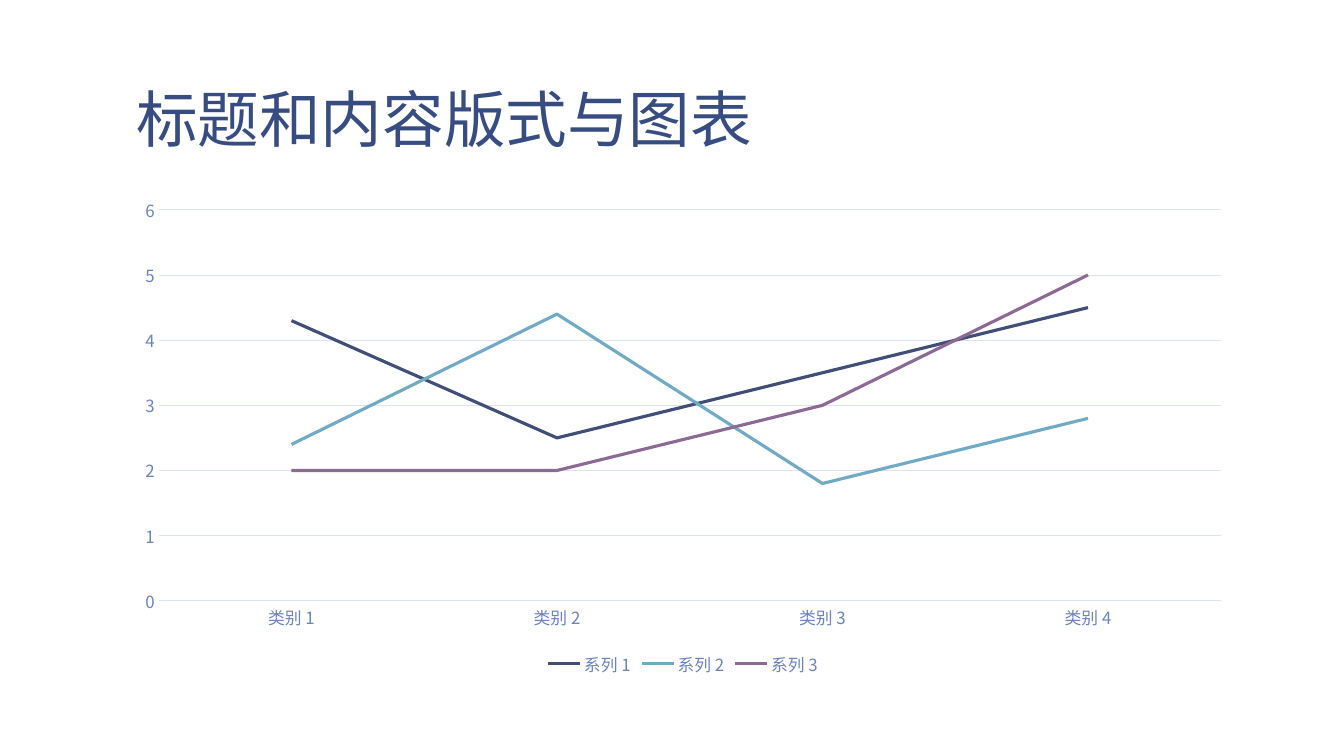
from pptx import Presentation
from pptx import util as u
from pptx.chart import data
from pptx.dml import color
from pptx.enum import chart as charts, text
from pptx.oxml import ns

FONT = "Noto Sans CJK SC"
WIDTH, HEIGHT = 13.33, 7.5
LEFT, SPAN = 1.22, 11.11
TITLE_BOX = (LEFT, 0.08, SPAN, 1.53)
CHART_BOX = (LEFT, 1.86, SPAN, 4.89)
NAVY, BLUE, PALE = "374C81", "6A83C0", "DDE2F0"

CATEGORIES = [f"类别 {n}" for n in range(1, 5)]
SERIES = [
    ("系列 1", "414E77", (4.3, 2.5, 3.5, 4.5)),
    ("系列 2", "70AAC4", (2.4, 4.4, 1.8, 2.8)),
    ("系列 3", "8B6A94", (2, 2, 3, 5)),
]


def rgb(value):
    return color.RGBColor.from_string(value)


def style_font(font, size, shade):
    font.name = FONT
    font.size = u.Pt(size)
    font.bold = False
    font.color.rgb = rgb(shade)


def style_line(line, shade, width):
    line.color.rgb = rgb(shade)
    line.width = u.Pt(width)


def use_east_asian_font(root):
    for latin in list(root.iter(ns.qn("a:latin"))):
        east_asian = latin.makeelement(ns.qn("a:ea"), {"typeface": FONT})
        latin.addnext(east_asian)


def add_title(page, box, wording):
    title = page.shapes.title
    title.left, title.top, title.width, title.height = map(u.Inches, box)
    frame = title.text_frame
    frame.word_wrap = True
    frame.auto_size = text.MSO_AUTO_SIZE.NONE
    frame.vertical_anchor = text.MSO_ANCHOR.BOTTOM
    frame.margin_left = frame.margin_right = u.Inches(0.13)
    frame.margin_top = frame.margin_bottom = u.Inches(0.07)
    para = frame.paragraphs[0]
    para.alignment = text.PP_ALIGN.LEFT
    para.line_spacing = 0.85
    span = para.add_run()
    span.text = wording
    style_font(span.font, 44, NAVY)
    use_east_asian_font(title.element)


def style_axes(chart):
    for axis in (chart.category_axis, chart.value_axis):
        axis.major_tick_mark = axis.minor_tick_mark = charts.XL_TICK_MARK.NONE
        style_font(axis.tick_labels.font, 12, BLUE)
    style_line(chart.category_axis.format.line, PALE, 0.75)
    values = chart.value_axis
    values.minimum_scale, values.maximum_scale, values.major_unit = 0, 6, 1
    values.format.line.fill.background()
    values.has_major_gridlines = True
    style_line(values.major_gridlines.format.line, PALE, 0.75)


def add_line_chart(page, box):
    table = data.CategoryChartData()
    table.categories = CATEGORIES
    for name, _, values in SERIES:
        table.add_series(name, values)
    frame = page.shapes.add_chart(
        charts.XL_CHART_TYPE.LINE, *map(u.Inches, box), table
    )
    chart = frame.chart
    chart.has_title = False
    style_font(chart.font, 10, NAVY)
    style_axes(chart)
    chart.has_legend = True
    chart.legend.position = charts.XL_LEGEND_POSITION.BOTTOM
    chart.legend.include_in_layout = False
    style_font(chart.legend.font, 12, BLUE)
    plot = chart.plots[0]
    plot.vary_by_categories = False
    for series, (_, shade, _) in zip(plot.series, SERIES):
        series.smooth = False
        series.marker.style = charts.XL_MARKER_STYLE.NONE
        style_line(series.format.line, shade, 2.25)
    use_east_asian_font(chart.element)


def main():
    deck = Presentation()
    deck.slide_width, deck.slide_height = u.Inches(WIDTH), u.Inches(HEIGHT)
    page = deck.slides.add_slide(deck.slide_layouts.get_by_name("Title Only"))
    page.background.fill.solid()
    page.background.fill.fore_color.rgb = rgb("FFFFFF")
    add_title(page, TITLE_BOX, "标题和内容版式与图表")
    add_line_chart(page, CHART_BOX)
    deck.save("out.pptx")


if __name__ == "__main__":
    main()
